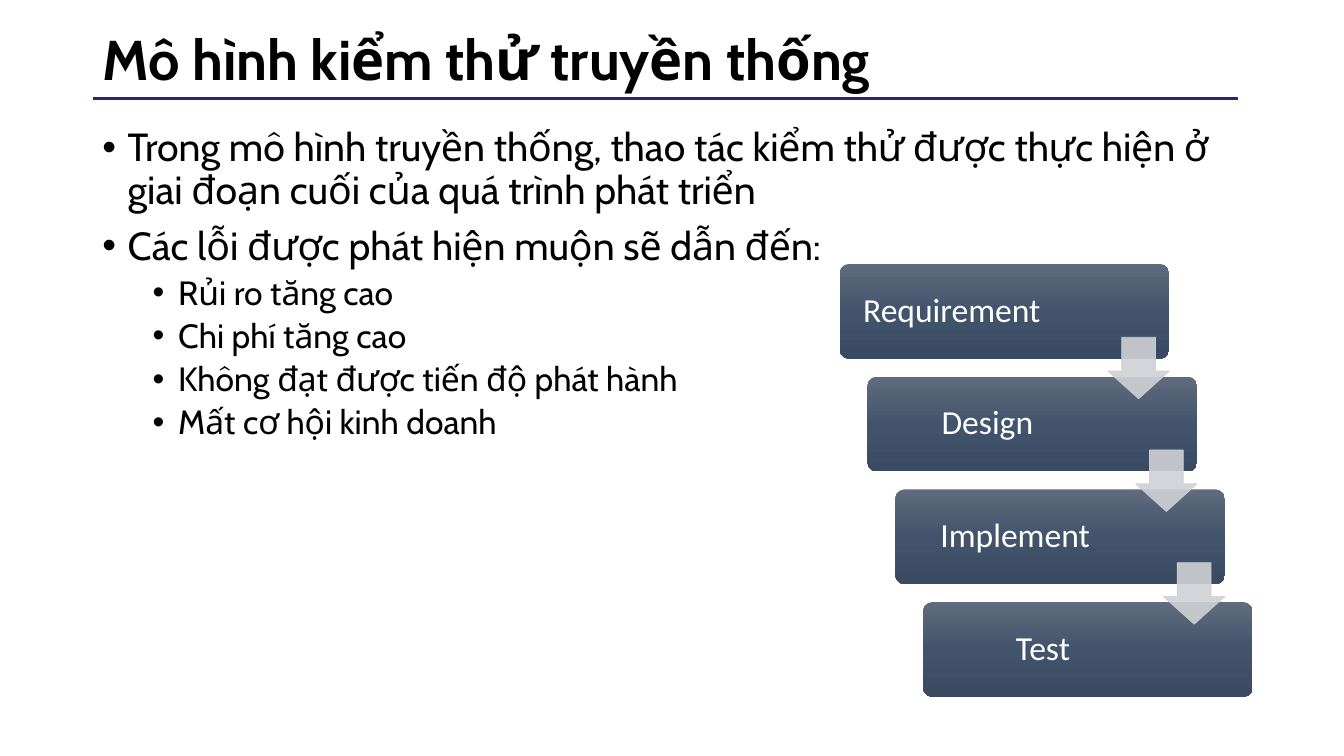
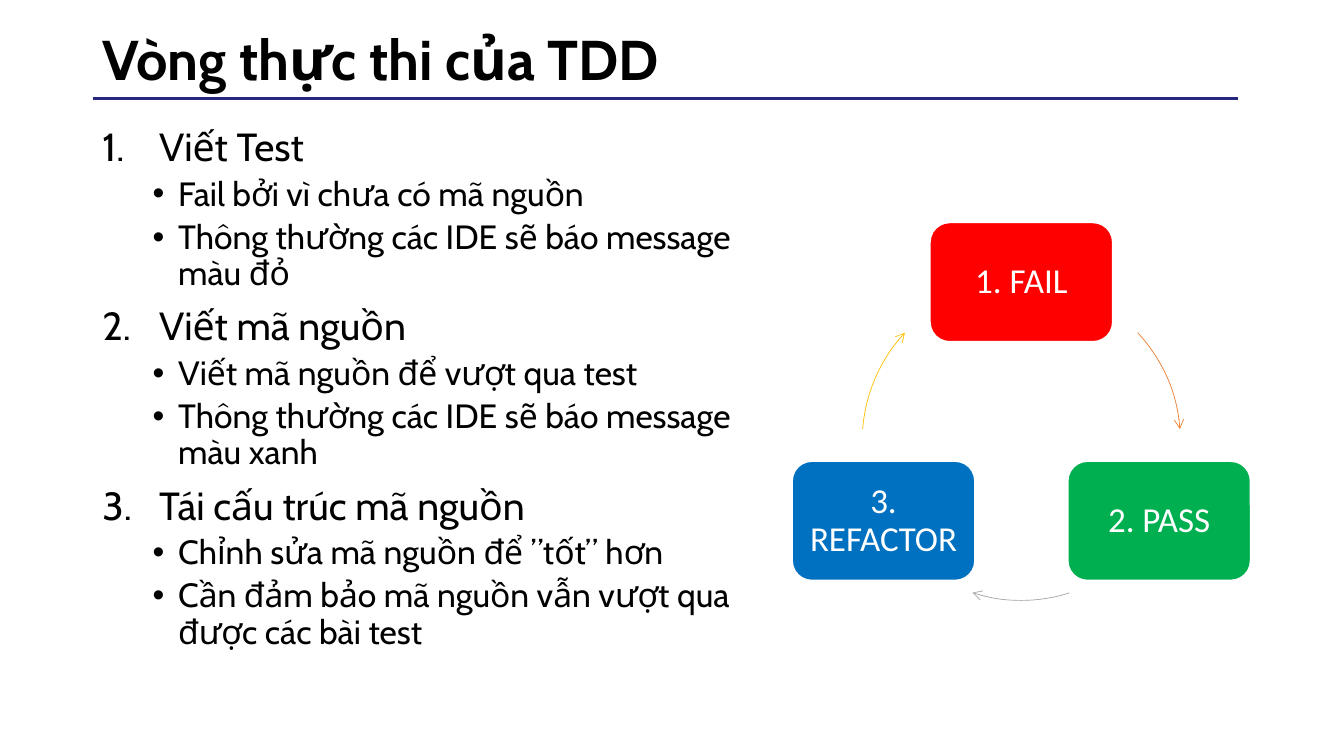
import math

import pptx
import pptx.dml.color
import pptx.enum.shapes
import pptx.enum.text
import pptx.oxml
import pptx.oxml.ns
import pptx.util
from pptx.util import Cm

SHAPE = pptx.enum.shapes.MSO_SHAPE
ALIGN = pptx.enum.text.PP_ALIGN
ANCHOR = pptx.enum.text.MSO_ANCHOR

COLORS = {
    "rule": "272780", "text": "000000", "white": "FFFFFF",
    "step_top": "606B7D", "step_mid": "42546C", "step_end": "394A62",
    "step_arrow": "CFD1D4",
    "fail": "FF0000", "pass": "00B050", "refactor": "0070C0",
    "to_pass": "ED7D31", "to_refactor": "A5A5A5", "to_fail": "FFC000",
}
BULLET, NUMBER = "bullet", "number"
MARKERS = {BULLET: ("a:buChar", {"char": "•"}),
           NUMBER: ("a:buAutoNum", {"type": "arabicPeriod"})}


def rgb(name):
    """Return the named colour."""
    return pptx.dml.color.RGBColor.from_string(COLORS[name])


def add_xml(parent, tag, **attrs):
    """Append an empty XML element with attributes and return it."""
    el = pptx.oxml.parse_xml(f"<{tag} {pptx.oxml.ns.nsdecls('a')}/>")
    for key, value in attrs.items():
        el.set(key, str(value))
    parent.append(el)
    return el


class Deck:
    """Shared style and the slide being built."""

    head_font, shape_font = "Cabin", "Calibri"
    left, width = 2.33, 29.21

    def __init__(self):
        """Start a widescreen presentation."""
        self.prs = pptx.Presentation()
        self.prs.slide_width, self.prs.slide_height = Cm(33.87), Cm(19.05)

    def slide(self, title):
        """Add a slide with its rule and title."""
        self.s = self.prs.slides.add_slide(self.prs.slide_layouts[6])
        line = self.s.shapes.add_connector(
            pptx.enum.shapes.MSO_CONNECTOR.STRAIGHT, Cm(2.34), Cm(2.49), Cm(31.19), Cm(2.49))
        line.line.color.rgb, line.line.width = rgb("rule"), pptx.util.Pt(2)
        add_xml(line._element.spPr, "a:effectLst")
        tf = self.textbox(0.43, self.width, 2.26)
        tf.vertical_anchor = ANCHOR.MIDDLE
        tf.text = title
        self.style(tf.paragraphs[0], self.head_font, 40, "text", bold=True)

    def textbox(self, top, width, height):
        """Add a wrapping text box at the left margin."""
        sp = self.s.shapes.add_textbox(Cm(self.left), Cm(top), Cm(width), Cm(height))
        sp.text_frame.word_wrap = True
        return sp.text_frame

    def style(self, p, font, size, color, bold=False):
        """Format a paragraph and its runs."""
        p.line_spacing = 0.9
        for r in p.runs:
            r.font.name, r.font.size = font, pptx.util.Pt(size)
            r.font.bold, r.font.color.rgb = bold, rgb(color)

    def outline(self, items, width, marker=BULLET):
        """Write a list of (heading, subitems) in the body area."""
        tf = self.textbox(3.1, width, 14.05)
        rows = []
        for heading, subitems in items:
            rows.append((0, heading, marker))
            rows += [(1, sub, BULLET) for sub in subitems]
        for i, (level, text, mark) in enumerate(rows):
            p = tf.add_paragraph() if i else tf.paragraphs[0]
            p.text, p.level = text, level
            self.style(p, self.head_font, (28, 24)[level], "text")
            p.space_before = pptx.util.Pt((10, 5)[level])
            hang = 1.43 if mark == NUMBER else 0.64
            pPr = p._p.get_or_add_pPr()
            pPr.set("marL", str(Cm(1.91 if level else hang)))
            pPr.set("indent", str(-Cm(hang)))
            add_xml(pPr, "a:buFont", typeface="Arial" if mark == BULLET else "+mj-lt")
            tag, attrs = MARKERS[mark]
            add_xml(pPr, tag, **attrs)

    def shape(self, kind, left, top, width, height, fill=None, line=None, weight=0.5):
        """Add a preset shape without a shadow."""
        sp = self.s.shapes.add_shape(kind, Cm(left), Cm(top), Cm(width), Cm(height))
        sp.shadow.inherit = False
        if fill:
            sp.fill.solid()
            sp.fill.fore_color.rgb = rgb(fill)
        else:
            sp.fill.background()
        if line:
            sp.line.color.rgb, sp.line.width = rgb(line), pptx.util.Pt(weight)
        else:
            sp.line.fill.background()
        return sp

    def label(self, sp, text, size, right=0.25):
        """Write a centred white label inside a shape."""
        tf = sp.text_frame
        tf.word_wrap, tf.vertical_anchor = True, ANCHOR.MIDDLE
        tf.margin_left = tf.margin_top = tf.margin_bottom = Cm(0.25)
        tf.margin_right = Cm(right)
        tf.text = text
        tf.paragraphs[0].alignment = ALIGN.CENTER
        self.style(tf.paragraphs[0], self.shape_font, size, "white")

    def step(self, text, left, top, right):
        """Add one gradient step of the staircase."""
        sp = self.shape(SHAPE.ROUNDED_RECTANGLE, left, top, 8.31, 2.39, "step_mid")
        sp.adjustments[0] = 0.1
        sp.fill.gradient()
        grad = sp._element.spPr.find(pptx.oxml.ns.qn("a:gradFill"))
        for child in list(grad):
            grad.remove(child)
        stops = add_xml(grad, "a:gsLst")
        for pos, name in ((0, "step_top"), (50000, "step_mid"), (100000, "step_end")):
            add_xml(add_xml(stops, "a:gs", pos=pos), "a:srgbClr", val=COLORS[name])
        add_xml(grad, "a:lin", ang=5400000, scaled=0)
        self.label(sp, text, 24, right)

    def step_arrow(self, left, top):
        """Add a translucent arrow leading to the next step."""
        sp = self.shape(SHAPE.DOWN_ARROW, left, top, 1.55, 1.55, "step_arrow", "step_arrow")
        sp.adjustments[0], sp.adjustments[1] = 0.55, 0.45
        for color in sp._element.spPr.iter(pptx.oxml.ns.qn("a:srgbClr")):
            add_xml(color, "a:alpha", val=90000)

    def arc(self, cx, cy, radius, start, end, color):
        """Add a clockwise circular arrow between two angles in degrees."""
        sp = self.shape(SHAPE.ARC, cx - radius, cy - radius, 2 * radius, 2 * radius, line=color)
        sp.adjustments[0], sp.adjustments[1] = start * 0.6, end * 0.6
        add_xml(sp.line._get_or_add_ln(), "a:tailEnd", type="arrow")


def traditional_slide(deck):
    """Build the slide on the traditional testing model."""
    deck.slide("Mô hình kiểm thử truyền thống")
    deck.outline([
        ("Trong mô hình truyền thống, thao tác kiểm thử được thực hiện ở "
         "giai đoạn cuối của quá trình phát triển", []),
        ("Các lỗi được phát hiện muộn sẽ dẫn đến:",
         ["Rủi ro tăng cao", "Chi phí tăng cao",
          "Không đạt được tiến độ phát hành", "Mất cơ hội kinh doanh"]),
    ], deck.width)
    steps = [("Requirement", 2.9), ("Design", 2.51), ("Implement", 2.51), ("Test", 2.51)]
    places = [(21.16 + 0.7 * i, 6.65 + 2.84 * i) for i in range(len(steps))]
    for (text, right), (left, top) in zip(steps, places):
        deck.step(text, left, top, right)
    for left, top in places[:-1]:
        deck.step_arrow(left + 6.76, top + 1.85)


def cycle_slide(deck):
    """Build the slide on the TDD cycle."""
    deck.slide("Vòng thực thi của TDD")
    deck.outline([
        ("Viết Test", ["Fail bởi vì chưa có mã nguồn",
                       "Thông thường các IDE sẽ báo message màu đỏ"]),
        ("Viết mã nguồn", ["Viết mã nguồn để vượt qua test",
                           "Thông thường các IDE sẽ báo message màu xanh"]),
        ("Tái cấu trúc mã nguồn", ["Chỉnh sửa mã nguồn để ”tốt” hơn",
                                   "Cần đảm bảo mã nguồn vẫn vượt qua được các bài test"]),
    ], 17.12, NUMBER)
    cx, cy, radius, box_w, box_h = 25.74, 11.12, 4.01, 4.62, 3.02
    stages = [("1. FAIL", "fail", 317, 355.6, "to_pass"),
              ("2. PASS", "pass", 72.4, 107.9, "to_refactor"),
              ("3. REFACTOR", "refactor", 184.4, 223, "to_fail")]
    for i, (text, fill, start, end, color) in enumerate(stages):
        angle = math.radians(120 * i - 90)
        x, y = cx + radius * math.cos(angle), cy + radius * math.sin(angle)
        sp = deck.shape(SHAPE.ROUNDED_RECTANGLE, x - box_w / 2, y - box_h / 2,
                        box_w, box_h, fill, "white", 1.5)
        deck.label(sp, text, 25)
        deck.arc(cx, cy, radius, start, end, color)


deck = Deck()
traditional_slide(deck)
cycle_slide(deck)
deck.prs.save("out.pptx")
